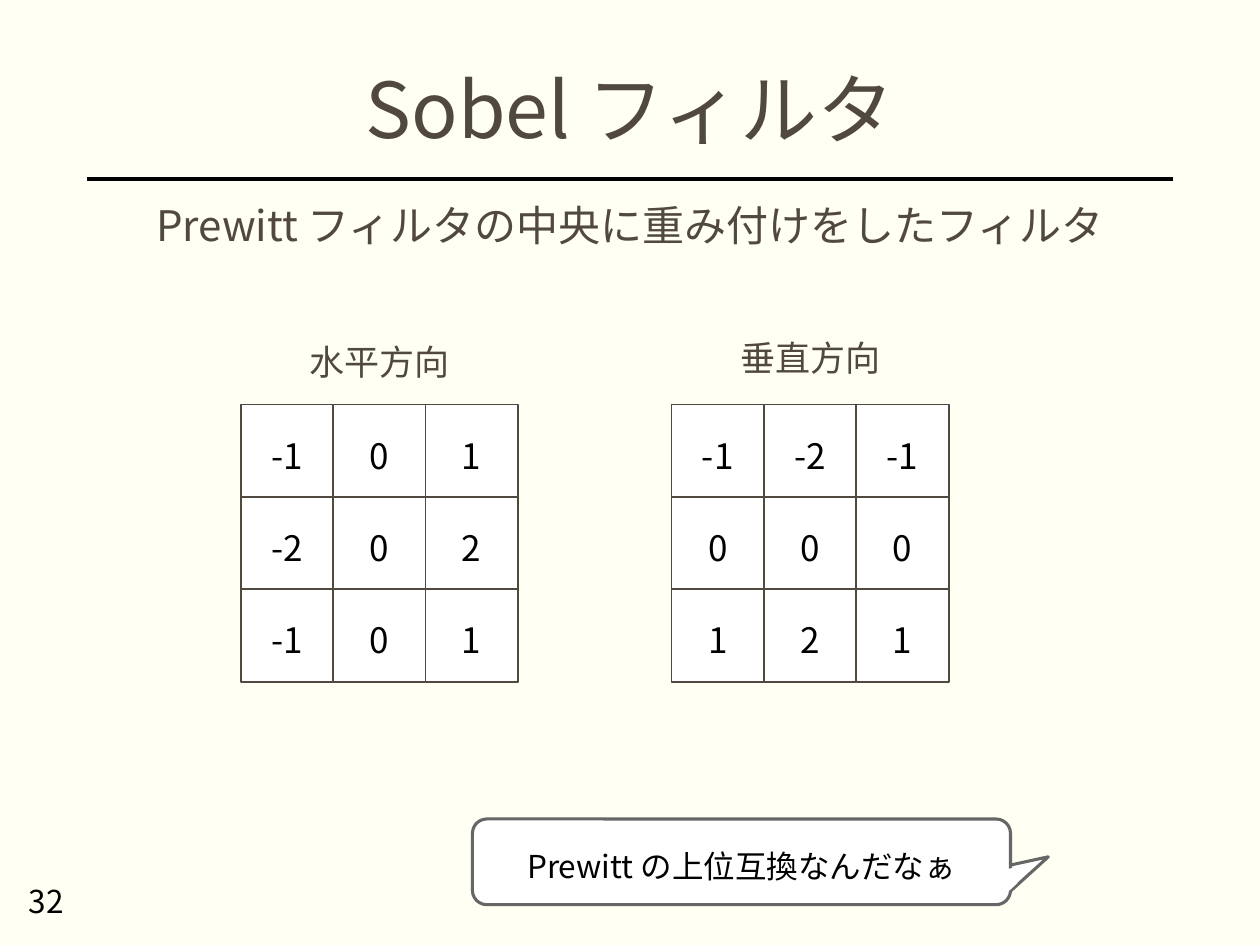
from lxml.etree import SubElement
from pptx import Presentation
from pptx.dml.color import RGBColor
from pptx.enum.shapes import MSO_CONNECTOR as CONN, MSO_SHAPE as SHAPE
from pptx.enum.text import MSO_ANCHOR as ANCHOR, PP_ALIGN as ALIGN
from pptx.oxml.ns import qn
from pptx.util import Inches, Pt

BACKGROUND = RGBColor(0xFF, 0xFF, 0xF3)
BROWN = RGBColor(0x51, 0x48, 0x40)
GRAY = RGBColor(0x66, 0x66, 0x66)
BLACK = RGBColor(0, 0, 0)
WHITE = RGBColor(0xFF, 0xFF, 0xFF)

CELL = 2.2 / 3
KERNEL_TOP = 3.21
LABEL_WIDTH = 1.78
KERNELS = [
    ("水平方向", 1.91, 2.65, [[-1, 0, 1], [-2, 0, 2], [-1, 0, 1]]),
    ("垂直方向", 5.33, 2.62, [[-1, -2, -1], [0, 0, 0], [1, 2, 1]]),
]


class SlideBuilder:
    font = "Noto Sans CJK JP"

    def __init__(self, slide):
        self.s = slide
        bg = slide.background.fill
        bg.solid()
        bg.fore_color.rgb = BACKGROUND

    def set_text(self, sp, text, size, color, align=ALIGN.CENTER, spacing=None, **frame):
        """Fill a shape with one styled line; frame holds text frame settings."""
        tf = sp.text_frame
        for name, value in {"word_wrap": True, **frame}.items():
            setattr(tf, name, value)
        p = tf.paragraphs[0]
        p.alignment = align
        if spacing:
            p.line_spacing = spacing
        r = p.add_run()
        r.text = text
        for name, value in {"size": Pt(size), "name": self.font}.items():
            setattr(r.font, name, value)
        r.font.color.rgb = color
        SubElement(r._r.get_or_add_rPr(), qn("a:ea"), typeface=self.font)

    def text(self, box, text, size, color, **style):
        sp = self.s.shapes.add_textbox(*map(Inches, box))
        self.set_text(sp, text, size, color, **style)

    def paint(self, sp, line=None, width=1):
        sp.shadow.inherit = False
        sp.fill.solid()
        sp.fill.fore_color.rgb = WHITE
        if line is None:
            sp.line.fill.background()
        else:
            sp.line.color.rgb = line
            sp.line.width = Pt(width)

    def shape(self, kind, box, line=None, width=1, rotation=0, parent=None):
        sp = (parent or self.s).shapes.add_shape(kind, *map(Inches, box))
        sp.rotation = rotation
        self.paint(sp, line, width)
        return sp

    def rule(self, x1, x2, y):
        line = self.s.shapes.add_connector(
            CONN.STRAIGHT, Inches(x1), Inches(y), Inches(x2), Inches(y))
        line.line.color.rgb = BLACK
        line.line.width = Pt(2)
        SubElement(line._element.spPr, qn("a:effectLst"))

    def kernel(self, label, left, label_top, rows):
        """Draw a labelled filter matrix as a group of square cells."""
        group = self.s.shapes.add_group_shape()
        for i, row in enumerate(rows):
            for j, value in enumerate(row):
                box = (left + j * CELL, KERNEL_TOP + i * CELL, CELL, CELL)
                cell = self.shape(SHAPE.RECTANGLE, box, BROWN, parent=group)
                self.set_text(cell, str(value), 20, BLACK,
                              vertical_anchor=ANCHOR.MIDDLE, margin_top=Inches(0.12),
                              margin_left=Inches(0.08), margin_right=Inches(0.08))
        label_left = left + (len(rows) * CELL - LABEL_WIDTH) / 2
        self.text((label_left, label_top, LABEL_WIDTH, 0.44), label, 20, BROWN)

    def balloon(self, box, tail, patches, text):
        """Draw a speech balloon; the patches hide the seam with its tail."""
        points = [(Inches(x), Inches(y)) for x, y in tail]
        outline = self.s.shapes.build_freeform(*points[0])
        outline.add_line_segments(points[1:], close=True)
        self.paint(outline.convert_to_shape(), GRAY, 1.75)
        body = self.shape(SHAPE.ROUNDED_RECTANGLE, box, GRAY, 1.75)
        self.set_text(body, text, 18, BLACK, word_wrap=False,
                      vertical_anchor=ANCHOR.MIDDLE, margin_top=Inches(0.12))
        group = self.s.shapes.add_group_shape()
        for patch, angle in patches:
            self.shape(SHAPE.RECTANGLE, patch, rotation=angle, parent=group)


def main():
    prs = Presentation()
    prs.slide_width, prs.slide_height = Inches(10), Inches(7.5)
    b = SlideBuilder(prs.slides.add_slide(prs.slide_layouts[6]))
    b.rule(9.31, 0.69, 1.42)
    b.text((0.69, 0.47, 8.62, 0.86), "Sobel フィルタ", 44, BROWN,
           spacing=0.9, vertical_anchor=ANCHOR.MIDDLE)
    b.text((0.69, 1.58, 8.62, 0.75), "Prewitt フィルタの中央に重み付けをしたフィルタ",
           24, BROWN, spacing=0.9)
    for kernel in KERNELS:
        b.kernel(*kernel)
    b.balloon((3.75, 6.5, 4.27, 0.68), [(8, 6.87), (8.32, 6.8), (8, 7.09)],
              [((7.94, 6.86, 0.09, 0.17), 78), ((7.97, 6.96, 0.08, 0.11), 47.5)],
              "Prewitt の上位互換なんだなぁ")
    b.text((0.13, 6.95, 2.25, 0.4), "32", 18, BLACK, align=ALIGN.LEFT)
    prs.save("out.pptx")


if __name__ == "__main__":
    main()
